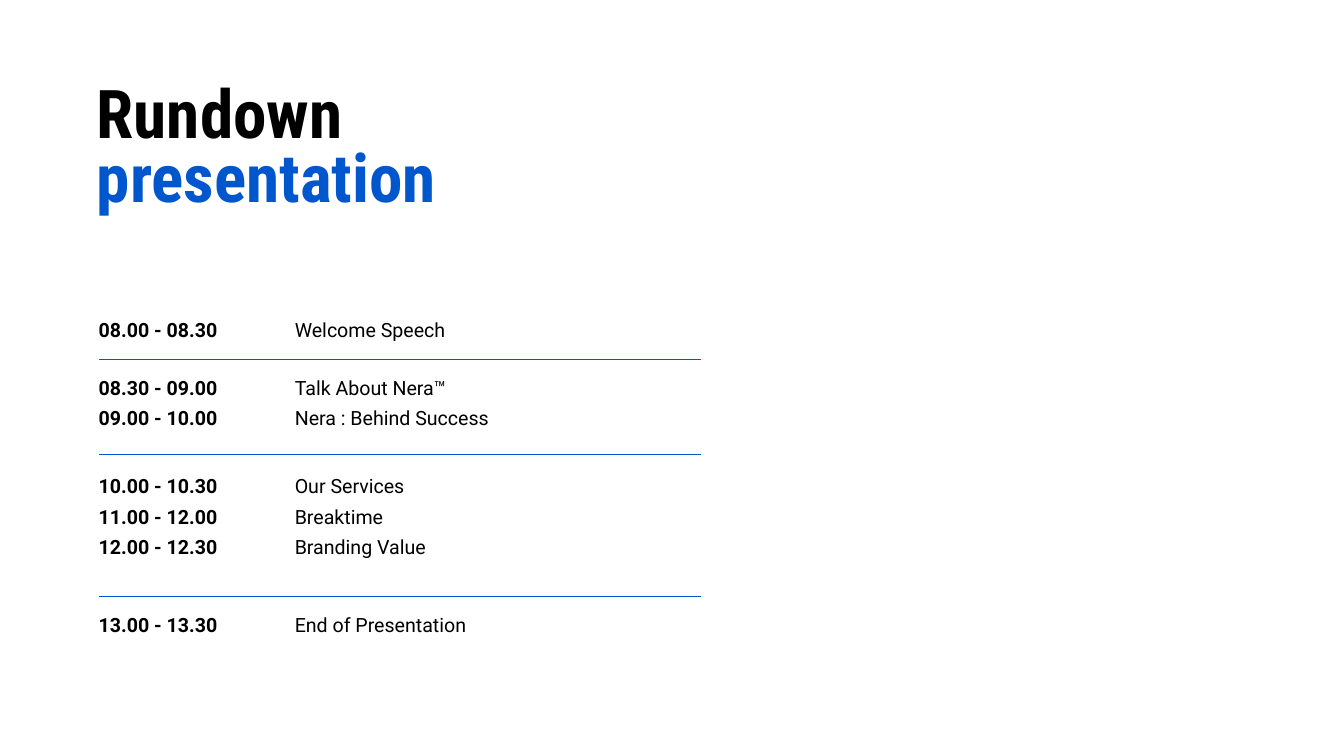
from dataclasses import dataclass

from pptx import Presentation
from pptx.dml.color import RGBColor
from pptx.enum.shapes import MSO_CONNECTOR
from pptx.enum.text import MSO_AUTO_SIZE
from pptx.oxml.ns import qn
from pptx.slide import Slide
from pptx.util import Inches, Pt
from lxml.etree import SubElement


@dataclass(frozen=True)
class Theme:
    ink: RGBColor = RGBColor(0x00, 0x00, 0x00)
    accent: RGBColor = RGBColor(0x00, 0x56, 0xCC)
    title_font: str = "Roboto Condensed"
    body_font: str = "Roboto"
    title_size: int = 96
    body_size: int = 28
    rule_weight: int = 2
    line_spacing: float = 0.8


@dataclass(frozen=True)
class Line:
    text: str
    font: str
    size: int
    color: RGBColor
    bold: bool = False


@dataclass(frozen=True)
class Session:
    time: str
    topic: str


@dataclass(frozen=True)
class Block:
    top: float
    sessions: tuple[Session, ...]


THEME = Theme()

# Agenda grid, in inches
TIME_LEFT, TIME_WIDTH = 1.96, 2.5
TOPIC_LEFT, TOPIC_WIDTH = 5.85, 4.22
ROW_HEIGHT, ROW_PITCH = 0.46, 0.6
RULE_RIGHT = 13.92
RULE_TOPS = (7.13, 9.02, 11.84)

AGENDA = (
    Block(6.4, (Session("08.00 - 08.30", "Welcome Speech"),)),
    Block(7.54, (
        Session("08.30 - 09.00", "Talk About Nera™"),
        Session("09.00 - 10.00", "Nera : Behind Success"),
    )),
    Block(9.5, (
        Session("10.00 - 10.30", "Our Services"),
        Session("11.00 - 12.00", "Breaktime"),
        Session("12.00 - 12.30", "Branding Value"),
    )),
    Block(12.26, (Session("13.00 - 13.30", "End of Presentation"),)),
)


def add_text(slide: Slide, left: float, top: float, width: float,
             height: float, *lines: Line) -> None:
    box = slide.shapes.add_textbox(
        Inches(left), Inches(top), Inches(width), Inches(height))
    frame = box.text_frame
    frame.word_wrap = True
    frame.auto_size = MSO_AUTO_SIZE.SHAPE_TO_FIT_TEXT
    frame.margin_left = frame.margin_right = 0
    frame.margin_top = frame.margin_bottom = 0
    frame.text = "\n".join(line.text for line in lines)
    for paragraph, line in zip(frame.paragraphs, lines):
        paragraph.line_spacing = THEME.line_spacing
        font = paragraph.runs[0].font
        font.name = line.font
        font.size = Pt(line.size)
        font.bold = line.bold
        font.color.rgb = line.color


def add_rule(slide: Slide, top: float) -> None:
    rule = slide.shapes.add_connector(
        MSO_CONNECTOR.STRAIGHT, Inches(TIME_LEFT), Inches(top),
        Inches(RULE_RIGHT), Inches(top))
    rule.line.color.rgb = THEME.accent
    rule.line.width = Pt(THEME.rule_weight)
    SubElement(rule._element.spPr, qn("a:effectLst"))


def add_session(slide: Slide, session: Session, top: float) -> None:
    time = Line(session.time, THEME.body_font, THEME.body_size, THEME.ink, True)
    topic = Line(session.topic, THEME.body_font, THEME.body_size, THEME.ink)
    add_text(slide, TIME_LEFT, top, TIME_WIDTH, ROW_HEIGHT, time)
    add_text(slide, TOPIC_LEFT, top, TOPIC_WIDTH, ROW_HEIGHT, topic)


def main() -> None:
    deck = Presentation()
    deck.slide_width, deck.slide_height = Inches(26.67), Inches(15)
    slide = deck.slides.add_slide(deck.slide_layouts[6])

    # Title
    add_text(
        slide, 1.92, 1.72, 7.6, 2.88,
        Line("Rundown", THEME.title_font, THEME.title_size, THEME.ink, True),
        Line("presentation", THEME.title_font, THEME.title_size,
             THEME.accent, True))

    # Rules between the agenda blocks
    for top in RULE_TOPS:
        add_rule(slide, top)

    # Agenda
    for block in AGENDA:
        for row, session in enumerate(block.sessions):
            add_session(slide, session, block.top + row * ROW_PITCH)

    deck.save("out.pptx")


if __name__ == "__main__":
    main()
